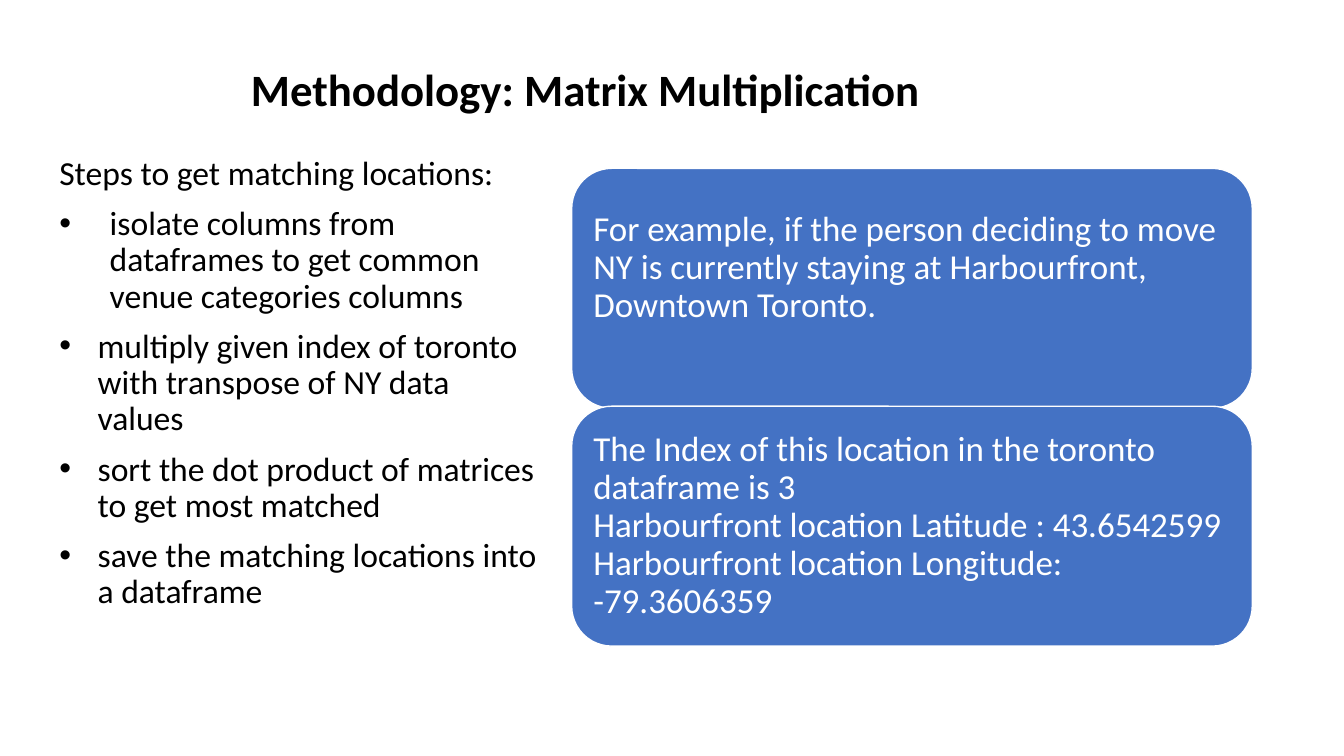
from pptx import Presentation
from pptx.dml.color import RGBColor
from pptx.enum.shapes import MSO_SHAPE
from pptx.enum.text import MSO_ANCHOR, PP_ALIGN
from pptx.oxml.ns import qn
from pptx.util import Inches, Pt
from lxml import etree

ROUNDED = MSO_SHAPE.ROUNDED_RECTANGLE
TOP, MIDDLE, BOTTOM = MSO_ANCHOR.TOP, MSO_ANCHOR.MIDDLE, MSO_ANCHOR.BOTTOM
LEFT = PP_ALIGN.LEFT
BLACK, WHITE, BLUE = "000000", "FFFFFF", "4472C4"


def color(value):
    return RGBColor.from_string(value)


class SlideBuilder:
    """Holds the text style and the current slide, and adds elements to it."""

    def __init__(self, slide, font="Calibri", line_spacing=0.9):
        self.slide = slide
        self.font = font
        self.line_spacing = line_spacing

    def add_lines(self, paragraph, lines, size, text_color, bold=False):
        paragraph.alignment = LEFT
        paragraph.line_spacing = self.line_spacing
        for index, line in enumerate(lines):
            if index:
                paragraph.add_line_break()
            run = paragraph.add_run()
            run.text = line
            run.font.name = self.font
            run.font.size = Pt(size)
            run.font.bold = bold
            run.font.color.rgb = color(text_color)

    def text_box(self, left, top, width, height, anchor):
        box = self.slide.shapes.add_textbox(
            Inches(left), Inches(top), Inches(width), Inches(height))
        frame = box.text_frame
        frame.word_wrap = True
        frame.vertical_anchor = anchor
        return frame

    def title(self, text, left, top, width, height):
        frame = self.text_box(left, top, width, height, BOTTOM)
        self.add_lines(frame.paragraphs[0], [text], 32, BLACK, bold=True)

    def bullet(self, paragraph, indent):
        properties = paragraph._p.get_or_add_pPr()
        properties.set("marL", str(Inches(indent)))
        properties.set("indent", str(-Inches(indent)))
        font = etree.SubElement(properties, qn("a:buFont"))
        font.set("typeface", "Arial")
        etree.SubElement(properties, qn("a:buChar")).set("char", "•")

    def steps(self, heading, items, left, top, width, height):
        frame = self.text_box(left, top, width, height, TOP)
        for index, (text, indent) in enumerate([(heading, 0), *items]):
            paragraph = frame.add_paragraph() if index else frame.paragraphs[0]
            self.add_lines(paragraph, [text], 24, BLACK)
            paragraph.space_before = Pt(10)
            if indent:
                self.bullet(paragraph, indent)

    def card(self, lines, left, top, width, height, bottom_margin):
        shape = self.slide.shapes.add_shape(
            ROUNDED, Inches(left), Inches(top), Inches(width), Inches(height))
        shape.shadow.inherit = False
        shape.fill.solid()
        shape.fill.fore_color.rgb = color(BLUE)
        shape.line.color.rgb = color(WHITE)
        shape.line.width = Pt(1)
        frame = shape.text_frame
        frame.word_wrap = True
        frame.vertical_anchor = MIDDLE
        frame.margin_left = frame.margin_right = frame.margin_top = Inches(0.1)
        frame.margin_bottom = Inches(bottom_margin)
        self.add_lines(frame.paragraphs[0], lines, 25, WHITE)


STEPS = [
    ("isolate columns from dataframes to get common venue categories columns", 0.5),
    ("multiply given index of toronto with transpose of NY data values", 0.38),
    ("sort the dot product of matrices to get most matched", 0.38),
    ("save the matching locations into a dataframe", 0.38),
]
CARDS = [
    (["For example, if the person deciding to move NY is currently staying at "
      "Harbourfront, Downtown Toronto."], 0.5),
    (["The Index of this location in the toronto dataframe is 3",
      "Harbourfront location Latitude : 43.6542599",
      "Harbourfront location Longitude: -79.3606359"], 0.1),
]
CARD_TOP, CARD_PITCH = 1.67, 2.36

presentation = Presentation()
presentation.slide_width = Inches(13.33)
presentation.slide_height = Inches(7.5)
builder = SlideBuilder(presentation.slides.add_slide(presentation.slide_layouts[6]))

builder.title("Methodology: Matrix Multiplication", 2.39, 0.1, 8.55, 1.1)
for row, (lines, bottom_margin) in enumerate(CARDS):
    builder.card(lines, 5.67, CARD_TOP + row * CARD_PITCH, 6.75, 2.38, bottom_margin)
builder.steps("Steps to get matching locations:", STEPS, 0.49, 1.5, 4.97, 5.79)

presentation.save("out.pptx")
